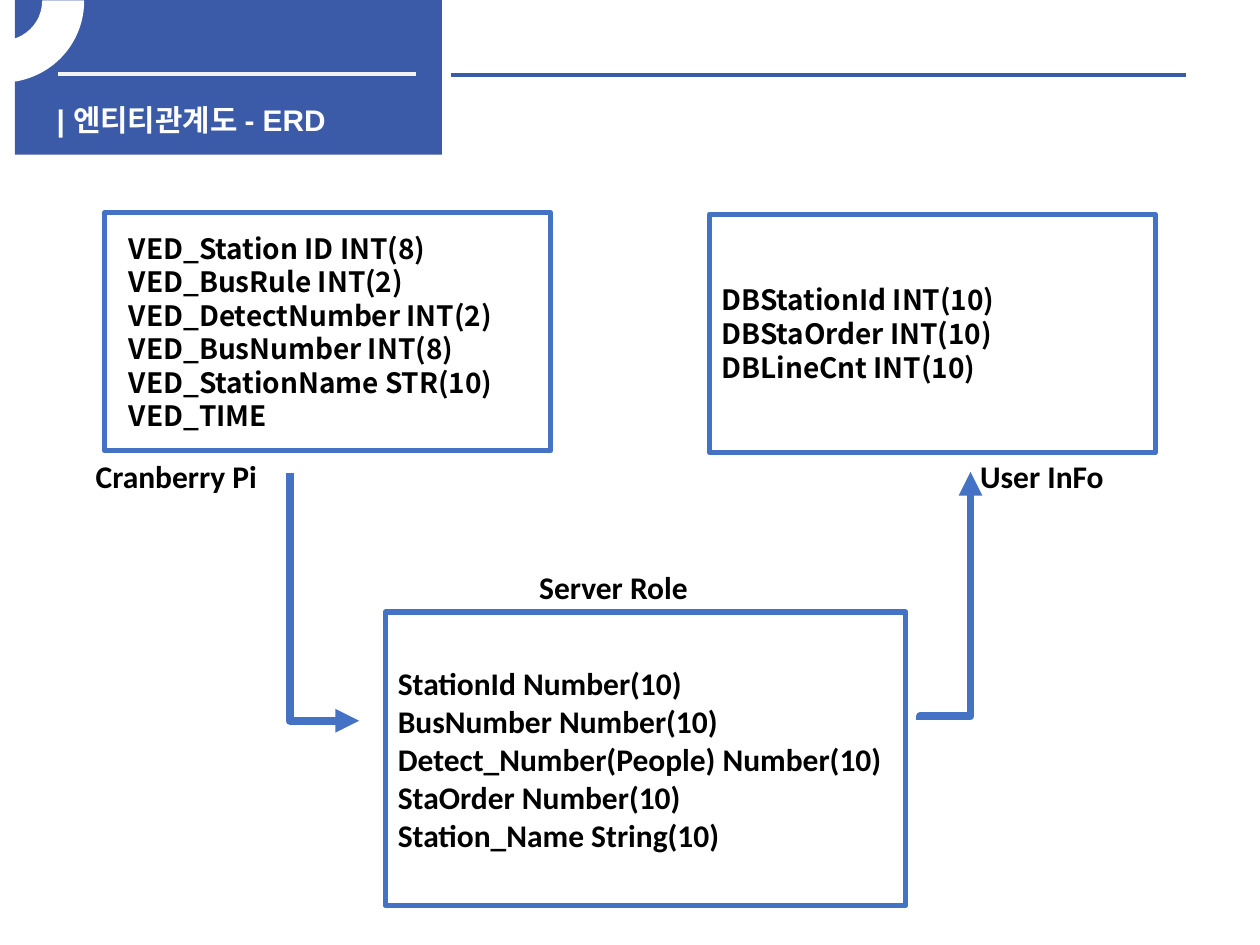
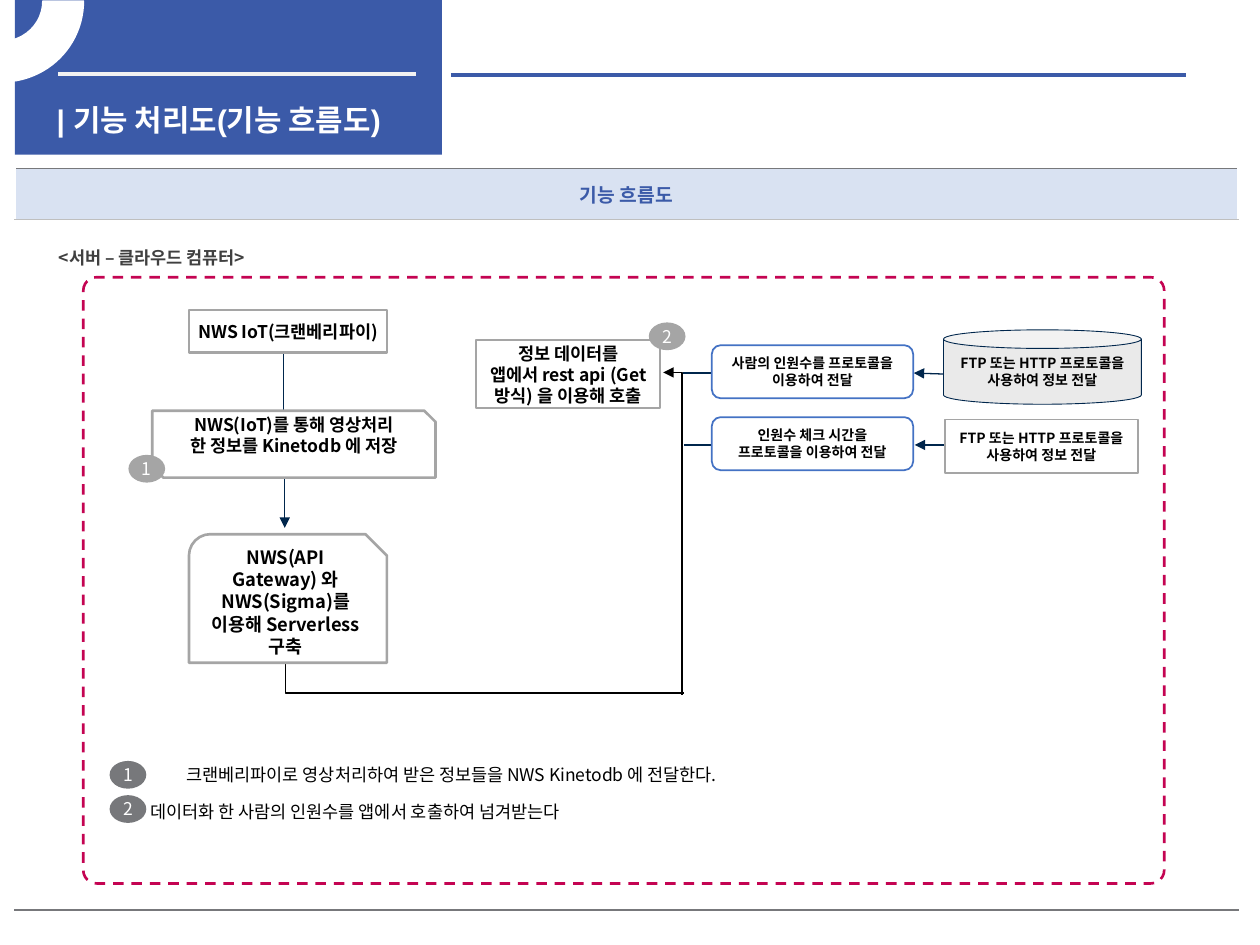
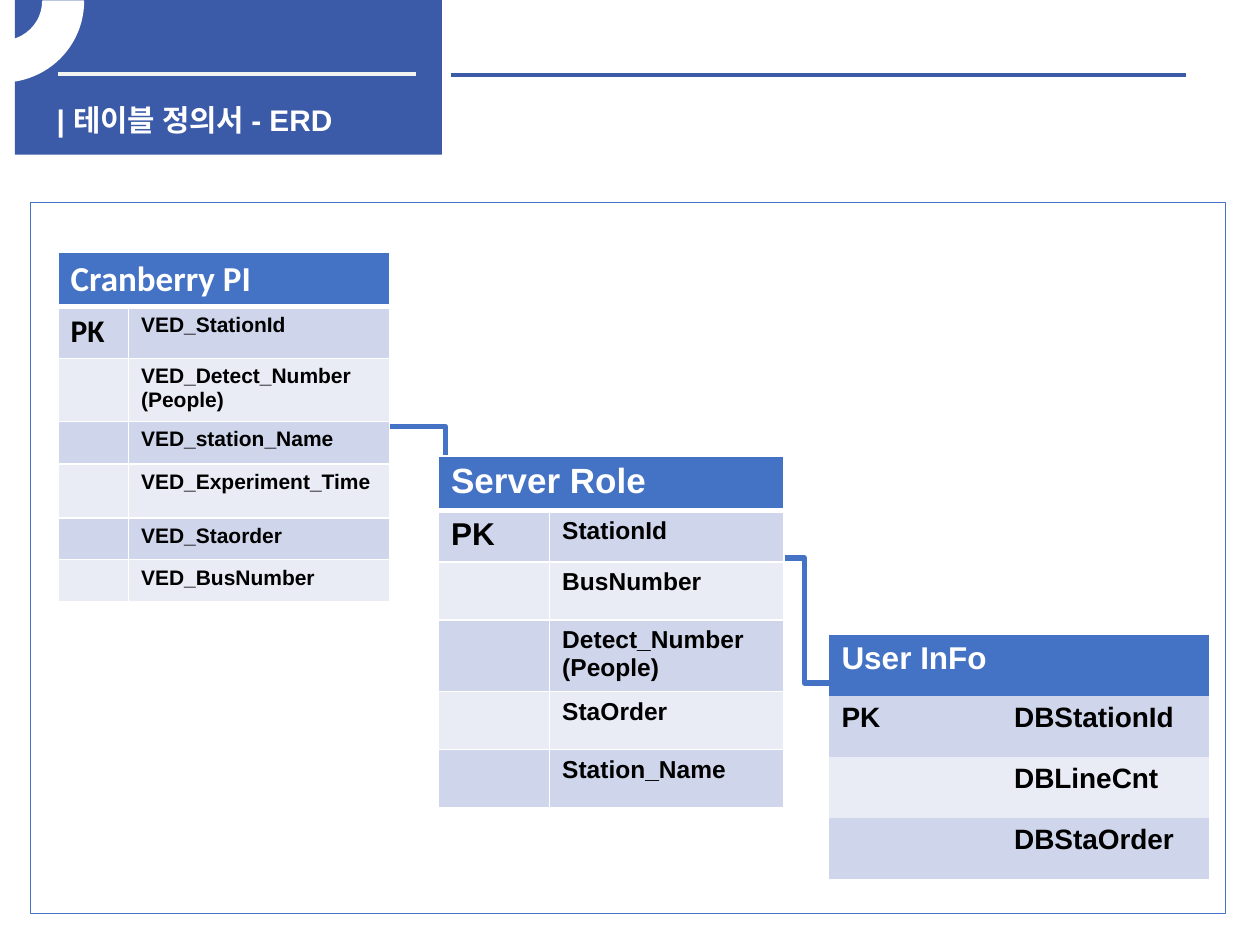
"""Build three slides: entity diagram, process flow and table design."""
from dataclasses import dataclass

from lxml.etree import Element, SubElement
from pptx import Presentation
from pptx.dml.color import RGBColor
from pptx.enum.dml import MSO_LINE
from pptx.enum.shapes import MSO_CONNECTOR, MSO_SHAPE
from pptx.enum.text import MSO_ANCHOR, PP_ALIGN
from pptx.oxml.ns import qn
from pptx.util import Cm, Pt

RECT = MSO_SHAPE.RECTANGLE
ROUND = MSO_SHAPE.ROUNDED_RECTANGLE
OVAL = MSO_SHAPE.OVAL
CAN = MSO_SHAPE.CAN
ARC = MSO_SHAPE.BLOCK_ARC
SNIP = MSO_SHAPE.SNIP_ROUND_RECTANGLE
NOTCH = MSO_SHAPE.SNIP_2_DIAG_RECTANGLE
LINE = MSO_CONNECTOR.STRAIGHT
ELBOW = MSO_CONNECTOR.ELBOW
DASH = MSO_LINE.DASH
MID = MSO_ANCHOR.MIDDLE
TOP = MSO_ANCHOR.TOP
LEFT = PP_ALIGN.LEFT
MIDST = PP_ALIGN.CENTER

PLAIN = "{2D5ABB26-0587-4C30-8999-92F81FD0307C}"
NOTO, CALI, ARIAL = "Noto Sans CJK KR", "Calibri", "Arial"
LEAD = 1.2
PAD = (0.25, 0.13, 0.25, 0.13)
THIN = (0.1, 0.1, 0.1, 0.1)
HUES = {
    "navy": "3B5AA8", "blue": "4472C4", "ink": "00264C", "black": "000000",
    "white": "FFFFFF", "pale": "F2F2F2", "smoke": "EAEAEA", "grey": "A5A5A5",
    "slate": "77787B", "ash": "BFBFBF", "dark": "404040", "rose": "C40452",
    "sky": "B4C7E7", "odd": "CFD5EA", "even": "E9EBF5",
}


@dataclass
class Box:
    x: float
    y: float
    w: float
    h: float
    text: str = ""
    size: float = 10
    font: str = NOTO
    kind: int | None = RECT
    fill: str = "white"
    edge: str = ""
    width: float = 1
    hue: str = "black"
    bold: bool = True
    align: int = MIDST
    pad: tuple = PAD
    wrap: bool = True
    dash: bool = False
    lead: float = LEAD
    hold: int = MID
    bends: tuple = ()
    flip: bool = False


@dataclass
class Link:
    x1: float
    y1: float
    x2: float
    y2: float
    hue: str = "ink"
    width: float = 0.75
    head: bool = False
    tail: bool = False
    turn: int = 0
    bend: float | None = None
    kind: str = ""


@dataclass
class Grid:
    x: float
    y: float
    cols: tuple
    rows: tuple
    title: str
    names: tuple
    sizes: tuple
    fonts: tuple = (ARIAL, ARIAL, ARIAL)
    rule: bool = True


def tint(name: str) -> RGBColor:
    return RGBColor.from_string(HUES[name])


def style(frame, size: float, font: str, hue: str, bold: bool = True,
          align: int = LEFT, lead: float = 0) -> None:
    for para in frame.paragraphs:
        para.alignment = align
        if lead:
            para.line_spacing = Pt(round(size * lead, 1))
        for run in para.runs:
            run.font.size = Pt(size)
            run.font.name = font
            run.font.bold = bold
            run.font.color.rgb = tint(hue)


def draw_box(slide, box: Box) -> None:
    spot = Cm(box.x), Cm(box.y), Cm(box.w), Cm(box.h)
    if box.kind is None:
        shape = slide.shapes.add_textbox(*spot)
    else:
        shape = slide.shapes.add_shape(box.kind, *spot)
        shape.shadow.inherit = False
        for i, bend in enumerate(box.bends):
            shape.adjustments[i] = bend
        if box.fill:
            shape.fill.solid()
            shape.fill.fore_color.rgb = tint(box.fill)
        else:
            shape.fill.background()
        if box.edge:
            shape.line.color.rgb = tint(box.edge)
            shape.line.width = Pt(box.width)
        else:
            shape.line.fill.background()
        if box.dash:
            shape.line.dash_style = DASH
        if box.flip:
            shape._element.spPr.xfrm.set("flipV", "1")
    if box.text:
        frame = shape.text_frame
        frame.text = box.text
        frame.word_wrap = box.wrap
        frame.vertical_anchor = box.hold
        (frame.margin_left, frame.margin_top,
         frame.margin_right, frame.margin_bottom) = map(Cm, box.pad)
        style(frame, box.size, box.font, box.hue, box.bold, box.align, box.lead)


def draw_link(slide, link: Link) -> None:
    bent = link.bend is not None or link.kind
    wire = slide.shapes.add_connector(
        ELBOW if bent else LINE,
        Cm(link.x1), Cm(link.y1), Cm(link.x2), Cm(link.y2))
    wire.line.color.rgb = tint(link.hue)
    wire.line.width = Pt(link.width)
    part = wire._element.spPr
    for tag, shown in (("a:headEnd", link.head), ("a:tailEnd", link.tail)):
        if shown:
            SubElement(part.find(qn("a:ln")), qn(tag), type="triangle")
    SubElement(part, qn("a:effectLst"))
    if link.turn:
        part.find(qn("a:xfrm")).set("rot", str(link.turn * 60000))
    form = part.find(qn("a:prstGeom"))
    if link.kind:
        form.set("prst", link.kind)
    if link.bend is not None:
        SubElement(form.find(qn("a:avLst")), qn("a:gd"), name="adj1",
                   fmla=f"val {round(link.bend * 100000)}")


def edge_cell(cell, edges: dict) -> None:
    """Give a cell its left, right, top and bottom borders."""
    for i, side in enumerate("LRTB"):
        hue, width = edges[side]
        rule = Element(qn(f"a:ln{side}"), w=str(Pt(width)))
        fill = SubElement(rule, qn("a:solidFill"))
        SubElement(fill, qn("a:srgbClr"), val=HUES[hue])
        cell._tc.get_or_add_tcPr().insert(i, rule)


def fill_cell(cell, hue: str) -> None:
    cell.fill.solid()
    cell.fill.fore_color.rgb = tint(hue)


def new_table(slide, x: float, y: float, cols: tuple, rows: tuple):
    table = slide.shapes.add_table(
        len(rows), len(cols), Cm(x), Cm(y), Cm(sum(cols)), Cm(sum(rows))).table
    table._tbl.tblPr.find(qn("a:tableStyleId")).text = PLAIN
    for col, w in zip(table.columns, cols):
        col.width = Cm(w)
    for row, h in zip(table.rows, rows):
        row.height = Cm(h)
    return table


def draw_grid(slide, grid: Grid) -> None:
    table = new_table(slide, grid.x, grid.y, grid.cols, grid.rows)
    table.cell(0, 0).merge(table.cell(0, 1))
    lines = [(grid.title, ""), *(("" if i else "PK", name)
                                 for i, name in enumerate(grid.names))]
    for r, pair in enumerate(lines):
        for c, text in enumerate(pair):
            cell = table.cell(r, c)
            part = 0 if r == 0 else 1 + c
            if text:
                cell.text = text
                style(cell.text_frame, grid.sizes[part], grid.fonts[part],
                      "black" if r else "white")
            else:
                SubElement(cell.text_frame.paragraphs[0]._p,
                           qn("a:endParaRPr"), sz=str(grid.sizes[2] * 100))
            if grid.rule:
                edge_cell(cell, {"L": ("white", 1), "R": ("white", 1),
                                 "T": ("white", 3 if r == 1 else 1),
                                 "B": ("white", 3 if r == 0 else 1)})
            fill_cell(cell, ("even", "odd")[r % 2] if r else "blue")


def draw_panel(slide, title: str) -> None:
    """Draw the titled band with the ruled area below it."""
    table = new_table(slide, 0.3, 3.4, (24.66,), (1.02, 13.92))
    band, body = table.cell(0, 0), table.cell(1, 0)
    for cell, top, base in ((band, "slate", "ash"), (body, "ash", "slate")):
        edge_cell(cell, {"L": ("white", 1), "R": ("white", 1),
                         "T": (top, 1), "B": (base, 1)})
    band.text = title
    band.vertical_anchor = MID
    style(band.text_frame, 11, CALI, "navy", align=MIDST)
    fill_cell(band, "sky")
    shade = band._tc.tcPr.find(qn("a:solidFill")).find(qn("a:srgbClr"))
    SubElement(shade, qn("a:alpha"), val="50000")
    body.fill.background()


def draw_all(slide, items: list) -> None:
    for item in items:
        {Box: draw_box, Link: draw_link, Grid: draw_grid}[type(item)](slide, item)


def new_slide(deck, title: str):
    slide = deck.slides.add_slide(deck.slide_layouts[6])
    draw_all(slide, [
        Box(0.3, 0, 8.61, 3.12, fill="navy"),
        Link(1.17, 1.5, 8.38, 1.5, "pale", 2.25),
        Link(9.09, 1.52, 23.9, 1.52, "navy", 2.25),
        Box(0.89, 1.93, 8.2, 0.81, title, 17, ARIAL, None, hue="white",
            align=LEFT, lead=0, hold=TOP),
        Box(-1.6, -1.6, 3.28, 3.25, kind=ARC, edge="white",
            bends=(161.587, 0, 0.25), flip=True),
    ])
    return slide


def card(x: float, y: float, w: float, h: float, text: str, size: float,
         font: str, pad: tuple = PAD) -> Box:
    return Box(x, y, w, h, text, size, font, edge="blue", width=3,
               align=LEFT, pad=pad)


def label(x: float, y: float, text: str) -> Box:
    return Box(x, y, 5.23, 1.02, text, 18, CALI, None, align=LEFT)


def dot(x: float, y: float, text: str, fill: str) -> Box:
    return Box(x, y, 0.74, 0.56, text, kind=OVAL, fill=fill, hue="white",
               bold=False, pad=(0.15,) * 4, wrap=False)


def step(x: float, y: float, w: float, h: float, text: str, **more) -> Box:
    return Box(x, y, w, h, text, **{"edge": "grey", "width": 1.5,
                                    "pad": THIN, **more})


def draw_roles(deck) -> None:
    draw_all(new_slide(deck, "| 엔티티관계도 - ERD"), [
        card(2.11, 4.29, 8.99, 4.8,
             "VED_Station ID INT(8)\nVED_BusRule INT(2)\n"
             "VED_DetectNumber INT(2)\nVED_BusNumber INT(8)\n"
             "VED_StationName STR(10)\nVED_TIME", 16, NOTO,
             (0.49, 0.13, 0.25, 0.13)),
        label(1.68, 9.09, "Cranberry Pi"),
        Link(9.04, 11.33, 4.04, 12.73, "blue", 4.5, tail=True, turn=270, bend=1),
        Link(21.56, 12.52, 16.56, 11.51, "blue", 4.5, tail=True, turn=90,
             bend=0.015),
        label(19.51, 9.09, "User InFo"),
        label(10.62, 11.33, "Server Role"),
        card(7.77, 12.34, 10.49, 5.92,
             "StationId Number(10)\nBusNumber Number(10)\n"
             "Detect_Number(People) Number(10)\nStaOrder Number(10)\n"
             "Station_Name String(10)", 18, CALI),
        card(14.3, 4.32, 8.99, 4.8,
             "DBStationId INT(10)\nDBStaOrder INT(10)\nDBLineCnt INT(10)",
             16, NOTO),
    ])


def draw_flow(deck) -> None:
    slide = new_slide(deck, "| 기능 처리도(기능 흐름도)")
    draw_panel(slide, "기능 흐름도")
    send = "FTP 또는 HTTP 프로토콜을 사용하여 정보 전달"
    soft = {"size": 8, "font": CALI, "kind": ROUND, "edge": "blue",
            "width": 1, "pad": PAD}
    draw_all(slide, [
        Box(0.94, 4.83, 13.79, 0.71, "<서버 – 클라우드 컴퓨터>", kind=None,
            hue="dark", align=LEFT),
        Box(1.68, 5.59, 21.79, 12.22, kind=ROUND, fill="", edge="rose",
            width=1.5, dash=True, bends=(0.022,)),
        Link(5.72, 7.09, 5.72, 8.56, tail=True),
        Link(5.74, 9.65, 5.74, 10.64, tail=True),
        Link(13.79, 8.97, 14.4, 8.97, width=1),
        Link(18.42, 7.52, 19.02, 7.54, head=True),
        Link(18.44, 8.97, 19.05, 8.97, head=True),
        Link(5.74, 12.9, 13.79, 13.97, "black", 1, bend=0.002),
        Link(10.31, 10.95, 16.81, 10.57, "black", 1, tail=True, turn=270,
             bend=1),
        Link(13.77, 7.52, 14.35, 7.52, width=1),
        step(3.81, 6.25, 3.99, 0.86, "NWS IoT(크랜베리파이)"),
        step(19.02, 6.65, 3.99, 1.5, send, size=8, kind=CAN, fill="smoke",
             edge="ink", width=0.5, bends=(0.25,)),
        step(14.35, 6.96, 4.06, 1.07, "사람의 인원수를 프로토콜을 이용하여 전달",
             **soft),
        step(14.35, 8.41, 4.06, 1.07, "인원수 체크 시간을 프로토콜을 이용하여 전달",
             **soft),
        step(19.05, 8.46, 3.89, 1.07, send, size=8, width=1),
        step(9.6, 6.86, 3.71, 1.37,
             "정보 데이터를\n앱에서 rest api (Get 방식) 을 이용해 호출", width=1),
        step(3.81, 10.77, 3.99, 2.59,
             "NWS(API Gateway) 와 NWS(Sigma)를 이용해 Serverless 구축",
             size=10.5, kind=SNIP, pad=PAD),
        step(3.07, 8.28, 5.71, 1.35,
             "NWS(IoT)를 통해 영상처리\n한 정보를 Kinetodb 에 저장",
             kind=NOTCH, pad=(0.25, 0, 0.25, 0.35)),
        Box(2.77, 15.26, 12.67, 0.71,
            "크랜베리파이로 영상처리하여 받은 정보들을 NWS Kinetodb 에 전달한다.",
            kind=None, bold=False, wrap=False),
        Box(2.79, 16, 9.8, 0.71,
            "데이터화 한 사람의 인원수를 앱에서 호출하여 넘겨받는다",
            kind=None, bold=False, align=LEFT, wrap=False),
        dot(2.21, 15.34, "1", "slate"),
        dot(2.21, 16.03, "2", "slate"),
        dot(2.59, 9.17, "1", "grey"),
        dot(13.08, 6.5, "2", "grey"),
    ])


def draw_plan(deck) -> None:
    draw_all(new_slide(deck, "| 테이블 정의서 - ERD"), [
        Box(0.61, 4.09, 24.1, 14.33, fill="", edge="blue", width=0.75),
        Grid(1.17, 5.08, (1.42, 5.26),
             (1.09, 1.04, 1.19, 0.86, 1.09, 0.84, 0.84), "Cranberry PI",
             ("VED_StationId", "VED_Detect_Number\n(People)",
              "VED_station_Name", "VED_Experiment_Time", "VED_Staorder",
              "VED_BusNumber"), (20, 18, 12), (CALI, CALI, ARIAL)),
        Link(15.67, 11.25, 16.76, 13.77, "blue", 3, bend=0.5),
        Link(7.09, 10.49, 9.75, 9.37, "blue", 3, turn=270,
             kind="bentConnector2"),
        Grid(8.84, 9.19, (2.24, 4.72), (1.02, 1.04, 1.17, 1.37, 1.17, 1.17),
             "Server Role",
             ("StationId", "BusNumber", "Detect_Number\n(People)", "StaOrder",
              "Station_Name"), (20, 18, 14)),
        Grid(16.71, 12.8, (3.48, 4.19), (1.23,) * 4, "User InFo",
             ("DBStationId", "DBLineCnt", "DBStaOrder"), (18, 16, 16),
             rule=False),
    ])


def main() -> None:
    deck = Presentation()
    deck.slide_width, deck.slide_height = Cm(25.4), Cm(19.05)
    for draw in (draw_roles, draw_flow, draw_plan):
        draw(deck)
    deck.save("out.pptx")


if __name__ == "__main__":
    main()
